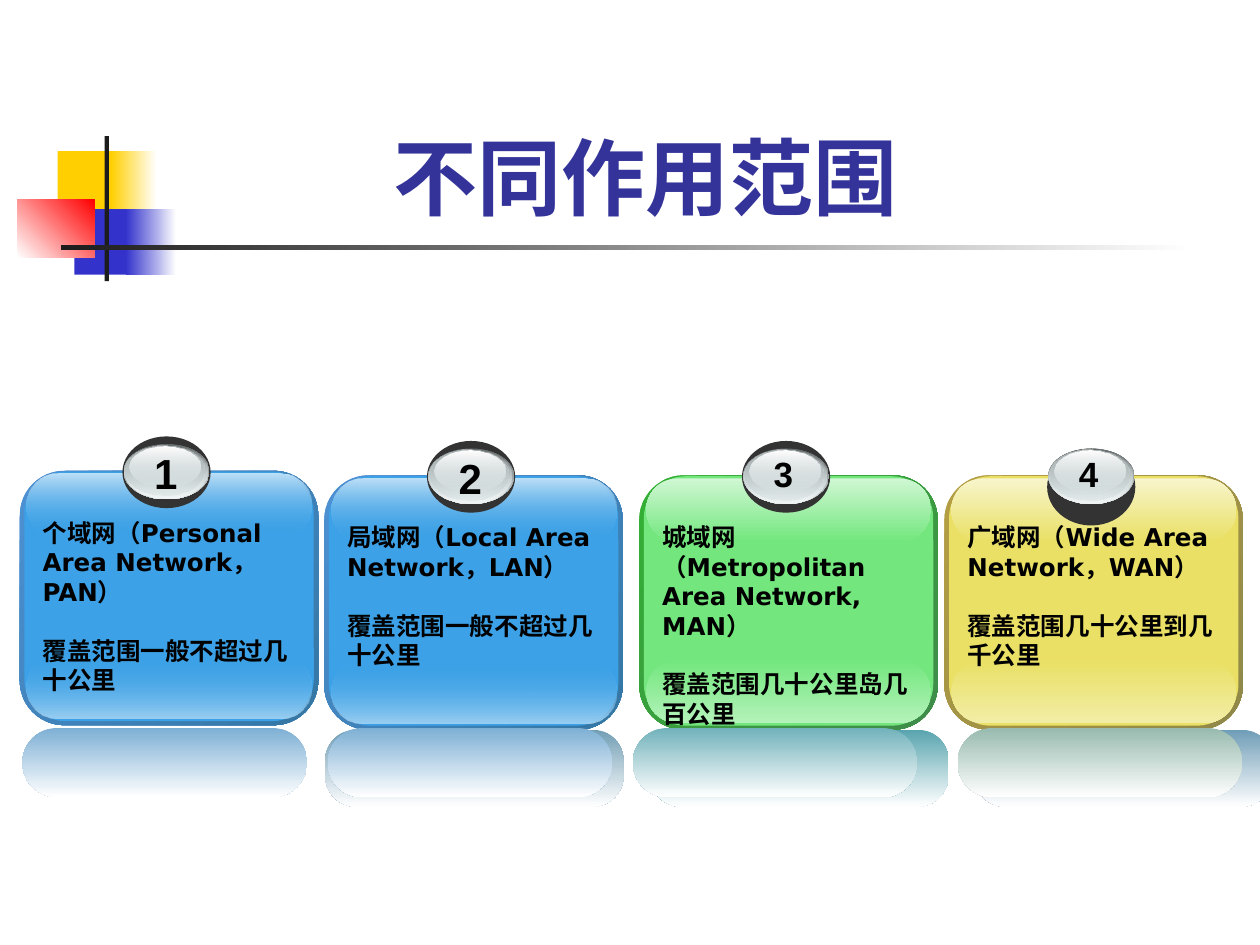
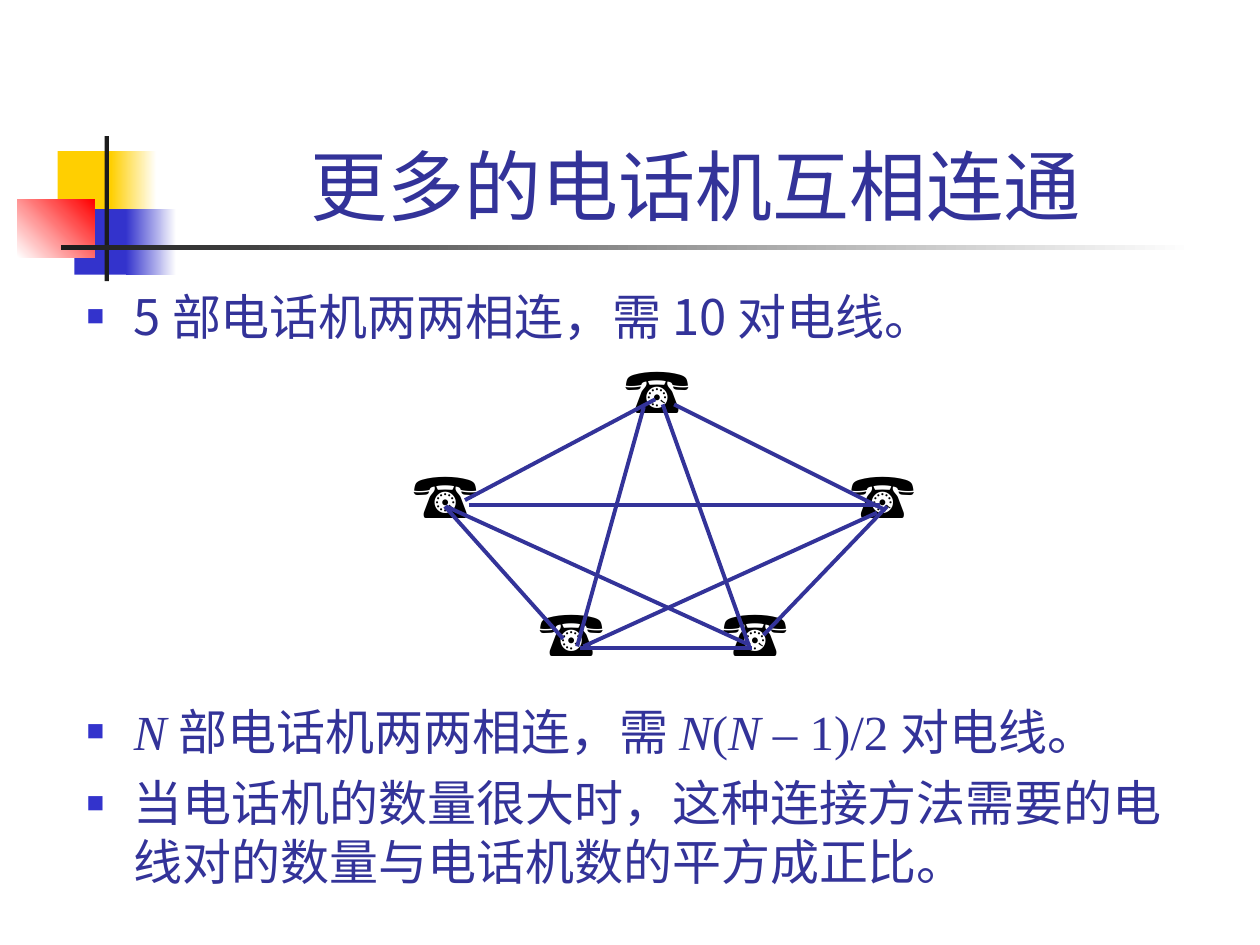
from dataclasses import dataclass, field

from lxml import etree
from pptx import Presentation
from pptx import util as u
from pptx.dml import color
from pptx.enum import shapes, text
from pptx.oxml import ns

Pt = u.Pt
RECT = shapes.MSO_SHAPE.RECTANGLE
ROUND = shapes.MSO_SHAPE.ROUNDED_RECTANGLE
OVAL = shapes.MSO_SHAPE.OVAL
NOTO = "Noto Sans CJK SC"


@dataclass
class Theme:
    ink: str = "333399"
    bullet: str = "3333CC"
    yellow: str = "FFCF01"
    red: str = "FF0000"
    rule: str = "1C1C1C"
    white: str = "FFFFFF"
    badge: str = "333333"
    steel: str = "D6E1E2"
    line_width: float = 2.25
    styles: dict = field(default_factory=lambda: {
        "heading": (dict(name=NOTO, size=Pt(48), bold=True), NOTO, "333399"),
        "title": (dict(name=NOTO, size=Pt(44)), NOTO, "333399"),
        "body": (dict(name=NOTO, size=Pt(28)), NOTO, "333399"),
        "formula": (dict(name="Times New Roman", size=Pt(28)), NOTO, "333399"),
        "variable": (dict(name="Times New Roman", size=Pt(28), italic=True), NOTO, "333399"),
        "card": (dict(name="DejaVu Sans", size=Pt(14), bold=True), "DejaVu Sans", "000000"),
        "number_big": (dict(name="Arial", size=Pt(24), bold=True), "Arial", "000000"),
        "number": (dict(name="Arial", size=Pt(20), bold=True), "Arial", "000000"),
        "phone": (dict(name="Arial", size=Pt(36)), "Arial", "000000"),
    })


def rgb(value):
    return color.RGBColor.from_string(value)


def sub(parent, tag, **attrs):
    return etree.SubElement(parent, ns.qn(tag), attrs)


def apply(obj, fmt):
    for key, value in fmt.items():
        setattr(obj, key, value)


class Deck:
    def __init__(self, theme):
        self.t = theme
        self.prs = Presentation()
        apply(self.prs, dict(slide_width=Pt(720), slide_height=Pt(540)))
        self.s = None

    def slide(self):
        self.s = self.prs.slides.add_slide(self.prs.slide_layouts[6])
        self.ornament()

    def shape(self, kind, box, fill, angle=90, adj=None, alphas=()):
        sp = self.s.shapes.add_shape(kind, *map(Pt, box))
        sp.shadow.inherit = False
        sp.line.fill.background()
        if adj is not None:
            sp.adjustments[0] = adj
        if isinstance(fill, str):
            sp.fill.solid()
            sp.fill.fore_color.rgb = rgb(fill)
            return
        sp.fill.gradient()
        sp.fill.gradient_angle = (360 - angle) % 360
        for stop, value in zip(sp.fill.gradient_stops, fill):
            stop.color.rgb = rgb(value)
        for clr, alpha in zip(sp._element.spPr.iter(ns.qn("a:srgbClr")), alphas):
            if alpha < 100:
                sub(clr, "a:alpha", val=str(alpha * 1000))

    def text(self, box, paras, wrap=True, anchor=text.MSO_ANCHOR.TOP, bottom=3.6):
        tf = self.s.shapes.add_textbox(*map(Pt, box)).text_frame
        apply(tf, dict(word_wrap=wrap, vertical_anchor=anchor, margin_bottom=Pt(bottom)))
        for i, (runs, fmt, bulleted) in enumerate(paras):
            p = tf.add_paragraph() if i else tf.paragraphs[0]
            if bulleted:
                self.bullet(p)
            apply(p, fmt)
            for words, style in runs:
                self.run(p, words, style)

    def run(self, p, words, style):
        fmt, east_asian, ink = self.t.styles[style]
        r = p.add_run()
        r.text = words
        apply(r.font, fmt)
        r.font.color.rgb = rgb(ink)
        sub(r._r.get_or_add_rPr(), "a:ea", typeface=east_asian)

    def bullet(self, p):
        pPr = p._p.get_or_add_pPr()
        indent = Pt(27)
        pPr.set("marL", str(indent))
        pPr.set("indent", str(-indent))
        sub(sub(pPr, "a:buClr"), "a:srgbClr", val=self.t.bullet)
        sub(pPr, "a:buSzPct", val="60000")
        sub(pPr, "a:buFont", typeface="Arial")
        sub(pPr, "a:buChar", char="■")

    def title(self, box, words, style):
        fmt = dict(alignment=text.PP_ALIGN.CENTER)
        self.text(box, [([(words, style)], fmt, False)],
                  anchor=text.MSO_ANCHOR.BOTTOM, bottom=0)

    def line(self, x1, y1, x2, y2):
        cn = self.s.shapes.add_connector(
            shapes.MSO_CONNECTOR.STRAIGHT, *map(Pt, (x1, y1, x2, y2)))
        cn.line.color.rgb = rgb(self.t.ink)
        cn.line.width = Pt(self.t.line_width)
        sub(cn._element.spPr, "a:effectLst")

    def ornament(self):
        t = self.t
        for box, fill, angle in (
            ((33, 86.4, 34.5, 37.4), t.yellow, 0),
            ((63.4, 86.4, 26, 37.4), (t.yellow, t.white), 0),
            ((42.5, 119.5, 33, 37.4), t.bullet, 0),
            ((72, 119.5, 28.8, 37.4), (t.bullet, t.white), 0),
            ((10, 113.8, 44, 33.2), (t.white, t.red), 315),
            ((59.8, 77.8, 2.5, 82.8), t.rule, 0),
            ((34.6, 140.2, 648, 2.5), (t.rule, t.white), 0),
        ):
            self.shape(RECT, box, fill, angle)

    def badge(self, x, y, rim_top, rim_height):
        t = self.t
        self.shape(OVAL, (x, y + rim_top, 50.4, rim_height), t.badge)
        for dx, dy, w, h, fill, alphas in (
            (0.7, 0, 49, 31.7, ("636869", t.steel), ()),
            (1, 0.2, 47.5, 31, (t.steel, "F1F5F5"), (0, 100)),
            (1.4, 0.7, 45.4, 28.8, ("AAB2B3", t.steel), (100, 48)),
            (4.3, 1.4, 40.3, 23, (t.white, t.steel), (100, 38)),
        ):
            self.shape(OVAL, (x + dx, y + dy, w, h), fill, alphas=alphas)

    def card(self, x, y, look, number, number_style, name, reach, rim=(-4.3, 41)):
        edge, face, low, high, clear = look
        self.shape(ROUND, (x, y, 170.6, 145.4), edge, 45, 0.175)
        self.shape(ROUND, (x + 2.6, y + 0.5, 165.4, 142.6), face, adj=0.167)
        self.shape(ROUND, (x + 4, y + 105.6, 162.7, 36), (face, low), adj=0.5,
                   alphas=(clear, 100))
        self.shape(ROUND, (x + 4, y + 1.8, 162.7, 36), (high, face), adj=0.5,
                   alphas=(100, clear))
        self.badge(x + 58.7, y - 15.3, *rim)
        width, height = (27.4, 36) if number_style == "number_big" else (25.2, 31.7)
        self.text((x + 69.7, y - 16.6, width, height),
                  [([(number, number_style)], {}, False)], wrap=False)
        pitch = Pt(16.8)
        self.text((x + 6, y + 23.4, 162, 108), [
            ([(name, "card")], dict(line_spacing=pitch), False),
            ([(reach, "card")], dict(line_spacing=pitch, space_before=pitch), False),
        ])

    def reflection(self, x, shade, wide):
        box, adj = ((x, 417, 170.6, 44), 0.404) if wide else ((x, 416, 162.7, 39.6), 0.5)
        self.shape(ROUND, box, (shade, self.t.white), adj=adj)


def network_ranges(d):
    d.slide()
    d.title((62, 33.8, 613.4, 95.8), "不同作用范围", "heading")
    blue = (("4E91D4", "3477A4"), "3CA1E6", "9BCFF2", "BEE0F7", 0)
    green = (("34B034", "3F8B4A"), "73E77E", "B3F2B9", "D0F7D4", 100)
    gold = (("B59F43", "8F8849"), "E9E065", "F2EDA6", "F8F5CC", 100)
    d.card(11.3, 269, blue, "1", "number_big",
           "个域网（Personal Area Network，PAN）", "覆盖范围一般不超过几十公里")
    d.card(185.3, 271.6, blue, "2", "number_big",
           "局域网（Local Area Network，LAN）", "覆盖范围一般不超过几十公里")
    d.card(365.3, 271.6, green, "3", "number",
           "城域网（Metropolitan Area Network, MAN）", "覆盖范围几十公里岛几百公里")
    d.card(539.7, 271.6, gold, "4", "number",
           "广域网（Wide Area Network，WAN）", "覆盖范围几十公里到几千公里", rim=(0, 44))
    for x, shade, wide in (
        (12.8, "7DAFD4", False),
        (185.8, "729EB4", True), (187.2, "7DAFD4", False),
        (371.5, "58A4AE", True), (361.6, "72B2BB", False),
        (556.6, "6F9DB7", True), (547.2, "98BAAF", False),
    ):
        d.reflection(x, shade, wide)


def phone_mesh(d):
    d.slide()
    d.title((90.7, 16.6, 613.4, 115.2), "更多的电话机互相连通", "title")
    pitch = dict(line_spacing=Pt(33.7))
    d.text((42.5, 160, 643.7, 358.6), [
        ([("5 部电话机两两相连，需 10 对电线。", "body")], pitch, True),
        ([("N ", "variable"), ("部电话机两两相连，需 ", "formula"), ("N", "variable"),
          ("(", "formula"), ("N", "variable"), (" – 1)/2 对电线", "formula"),
          ("。", "body")], dict(pitch, space_before=Pt(203.4)), True),
        ([("当电话机的数量很大时，这种连接方法需要的电线对的数量与电话机数的平方成正比。", "body")],
         dict(pitch, space_before=Pt(7)), True),
    ])
    for x, y in ((350, 196.6), (229, 257), (301, 335.5), (478.8, 257), (406, 335.5)):
        d.text((x, y, 61.2, 50.4), [([("☎", "phone")], {}, False)], wrap=False)
    for wire in (
        (265.7, 285.8, 374.4, 228.2),
        (385.2, 231.1, 506.2, 291.6),
        (254.2, 289.4, 321.8, 365),
        (331.2, 370.1, 429.8, 370.1),
        (436.3, 362.9, 506.9, 289.4),
        (378.7, 231.1, 428.4, 370.1),
        (367.9, 232.6, 329.8, 369.4),
        (267.8, 288.7, 502.6, 288.7),
        (254.9, 289.4, 428.4, 368.6),
        (333.4, 369.4, 501.1, 293),
    ):
        d.line(*wire)


def main():
    d = Deck(Theme())
    network_ranges(d)
    phone_mesh(d)
    d.prs.save("out.pptx")


if __name__ == "__main__":
    main()
